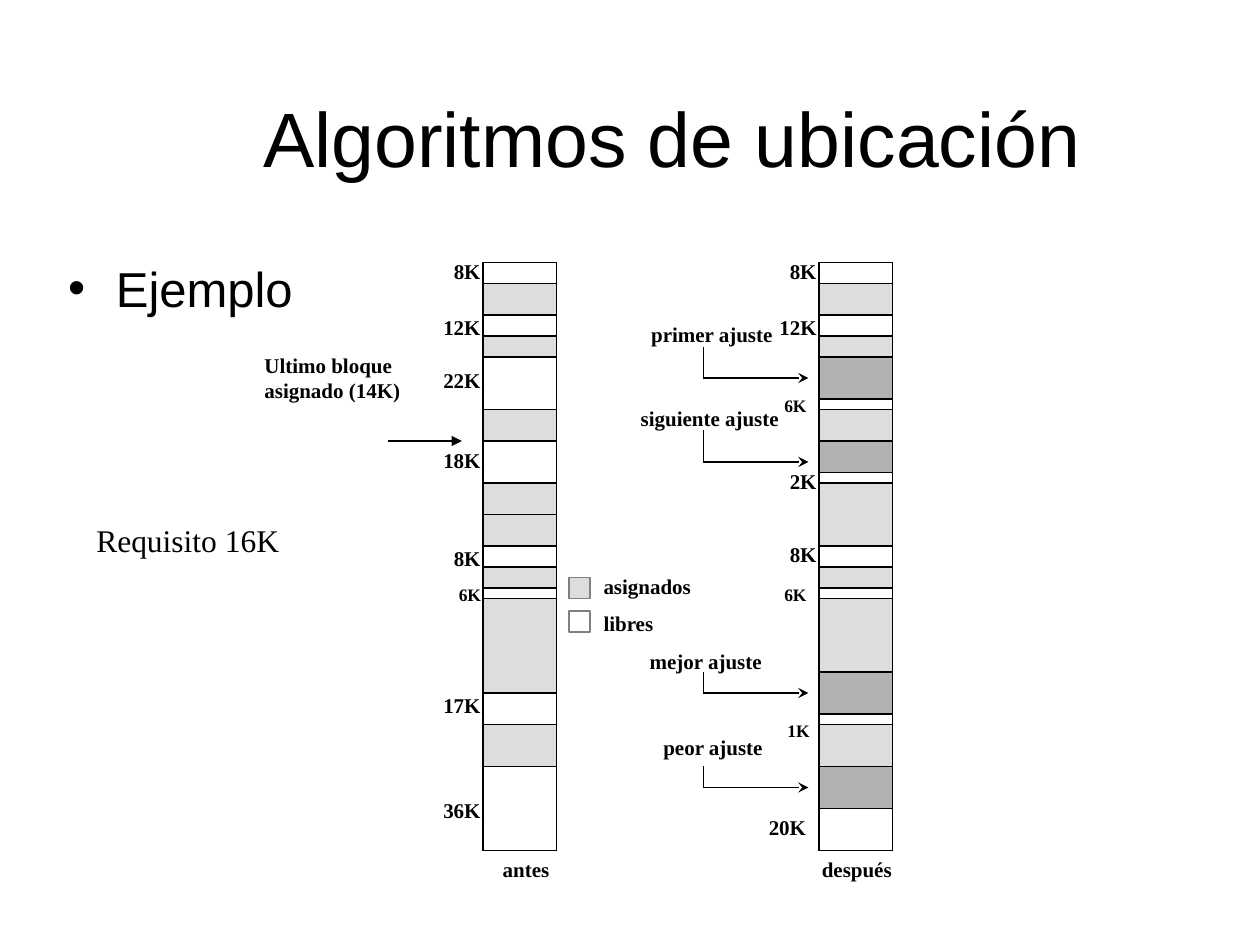
from lxml import etree
from pptx import Presentation
from pptx.dml.color import RGBColor
from pptx.enum.shapes import MSO_CONNECTOR, MSO_SHAPE
from pptx.enum.text import MSO_ANCHOR, MSO_AUTO_SIZE, PP_ALIGN
from pptx.oxml.ns import qn
from pptx.util import Inches, Pt

STRAIGHT = MSO_CONNECTOR.STRAIGHT
RECTANGLE = MSO_SHAPE.RECTANGLE
BOTTOM, TOP = MSO_ANCHOR.BOTTOM, MSO_ANCHOR.TOP
FIT_SHAPE, NO_FIT = MSO_AUTO_SIZE.SHAPE_TO_FIT_TEXT, MSO_AUTO_SIZE.NONE
LEFT, CENTER = PP_ALIGN.LEFT, PP_ALIGN.CENTER

COLORS = {
    "ink": "000000",
    "assigned": "DDDDDD",
    "new": "B2B2B2",
    "free": "FFFFFF",
    "key": "808080",
}
SERIF, SANS = "Times New Roman", "Arial"

CELLS_PER_INCH = 12
BAR_TOP, BAR_BOTTOM, BAR_WIDTH = 25, 81, 7
BEFORE, AFTER = 46, 78
ELBOW_LEFT, ELBOW_RIGHT = 67, 77

SHARED_BLOCKS = [(27, 3), (32, 2), (39, 3), (46, 6), (54, 2), (69, 4)]
BEFORE_BLOCKS = SHARED_BLOCKS + [(57, 9)]
AFTER_BLOCKS = SHARED_BLOCKS + [(57, 7)]
NEW_BLOCKS = [(34, 4), (42, 3), (64, 4), (73, 4)]
ELBOWS = [(33, 36), (41, 44), (64, 66), (73, 75)]

SIZE_LABELS = [
    ("8K", 47, 24, 5, 12),
    ("12K", 47, 29.4, 6, 12),
    ("22K", 47, 34.4, 6, 12),
    ("18K", 47, 42, 6, 12),
    ("8K", 47, 51.4, 5, 12),
    ("6K", 47, 55, 4.5, 10),
    ("17K", 47, 65.4, 6, 12),
    ("36K", 47, 75.4, 6, 12),
    ("8K", 79, 24, 5, 12),
    ("12K", 79, 29.4, 6, 12),
    ("6K", 78, 37, 4.5, 10),
    ("2K", 79, 44, 5, 12),
    ("8K", 79, 51, 5, 12),
    ("6K", 78, 55, 4.5, 10),
    ("1K", 79, 68, 5.9, 10),
    ("20K", 78, 77, 6, 12),
]
CAPTIONS = [
    ("antes", 46.1, 81, 8, CENTER),
    ("después", 76.6, 81, 10, CENTER),
    ("primer ajuste", 60.3, 30, 15, CENTER),
    ("siguiente ajuste", 59.1, 38, 17, CENTER),
    ("mejor ajuste", 60.7, 61.2, 14.2, LEFT),
    ("peor ajuste", 62, 69.4, 13, LEFT),
    ("asignados", 56.3, 54, 12, LEFT),
    ("libres", 56.3, 57.6, 8, LEFT),
    ("Ultimo bloque\nasignado (14K)", 24, 33, 16, LEFT),
]


def cells(count):
    return Inches(count / CELLS_PER_INCH)


def color(name):
    return RGBColor.from_string(COLORS[name])


def style_font(para, size, name, bold=False):
    font = para.font
    font.size, font.name, font.bold = Pt(size), name, bold
    font.color.rgb = color("ink")


def add_label(page, text, left, top, width, size=12, align=CENTER, bold=True):
    lines = text.split("\n")
    height = 1.2 + len(lines) * size / 5
    box = page.shapes.add_textbox(*map(cells, (left, top, width, height)))
    frame = box.text_frame
    frame.word_wrap = True
    frame.auto_size = FIT_SHAPE
    frame.text = text
    for para in frame.paragraphs:
        para.alignment = align
        style_font(para, size, SERIF, bold)


def add_block(page, left, top, width, height, fill, edge="ink"):
    block = page.shapes.add_shape(RECTANGLE, *map(cells, (left, top, width, height)))
    block.shadow.inherit = False
    block.fill.solid()
    block.fill.fore_color.rgb = color(fill)
    block.line.color.rgb = color(edge)
    block.line.width = Pt(1)


def add_line(page, x1, y1, x2, y2, width=1, head=None):
    line = page.shapes.add_connector(STRAIGHT, *map(cells, (x1, y1, x2, y2)))
    line.line.color.rgb = color("ink")
    line.line.width = Pt(width)
    properties = line._element.spPr
    etree.SubElement(properties, qn("a:effectLst"))
    if head:
        etree.SubElement(properties.find(qn("a:ln")), qn("a:tailEnd"), type=head)


def add_memory_bar(page, left, assigned, new=()):
    right = left + BAR_WIDTH
    for blocks, fill in ((assigned, "assigned"), (new, "new")):
        for top, height in blocks:
            add_block(page, left, top, BAR_WIDTH, height, fill)
    edge = BAR_TOP
    for top, height in sorted([*assigned, *new]) + [(BAR_BOTTOM, 0)]:
        if top > edge:
            add_line(page, right, edge, right, top)
        edge = top + height
    for row in (BAR_TOP, BAR_BOTTOM):
        add_line(page, left, row, right, row)
    add_line(page, left, BAR_TOP, left, BAR_BOTTOM, 0.75)


def add_elbow(page, top, bottom):
    add_line(page, ELBOW_LEFT, top, ELBOW_LEFT, bottom)
    add_line(page, ELBOW_LEFT, bottom, ELBOW_RIGHT, bottom, head="stealth")


def fill_placeholder(holder, text, area, anchor, size):
    holder.left, holder.top, holder.width, holder.height = map(Inches, area)
    frame = holder.text_frame
    frame.text = text
    frame.vertical_anchor = anchor
    frame.auto_size = NO_FIT
    para = frame.paragraphs[0]
    para.space_before = Pt(0)
    style_font(para, size, SANS)
    return para


def add_heading_and_list(page):
    title, body = page.placeholders
    heading = fill_placeholder(
        title, "Algoritmos de ubicación ", (1.17, 0.25, 8.5, 1.25), BOTTOM, 44)
    heading.alignment = CENTER
    point = fill_placeholder(body, "Ejemplo", (0.44, 2, 8.94, 4.56), TOP, 28)
    settings = point._p.get_or_add_pPr()
    settings.set("marL", str(Inches(0.38)))
    settings.set("indent", str(-Inches(0.38)))


def main():
    deck = Presentation()
    deck.slide_width, deck.slide_height = Inches(10), Inches(7.5)
    page = deck.slides.add_slide(deck.slide_layouts[1])
    add_heading_and_list(page)

    add_memory_bar(page, BEFORE, BEFORE_BLOCKS)
    add_line(page, BEFORE, 49, BEFORE + BAR_WIDTH, 49)
    add_memory_bar(page, AFTER, AFTER_BLOCKS, NEW_BLOCKS)
    for top, bottom in ELBOWS:
        add_elbow(page, top, bottom)
    add_line(page, 37, 42, 44, 42, 0.75, "triangle")

    for top, fill in ((55, "assigned"), (58.2, "free")):
        add_block(page, 54.2, top, 2, 2, fill, "key")
    for text, right, top, width, size in SIZE_LABELS:
        add_label(page, text, right - width, top, width, size)
    for text, left, top, width, align in CAPTIONS:
        add_label(page, text, left, top, width, align=align)
    add_label(page, "Requisito 16K", 8, 49, 23, 18, LEFT, False)
    deck.save("out.pptx")


if __name__ == "__main__":
    main()
